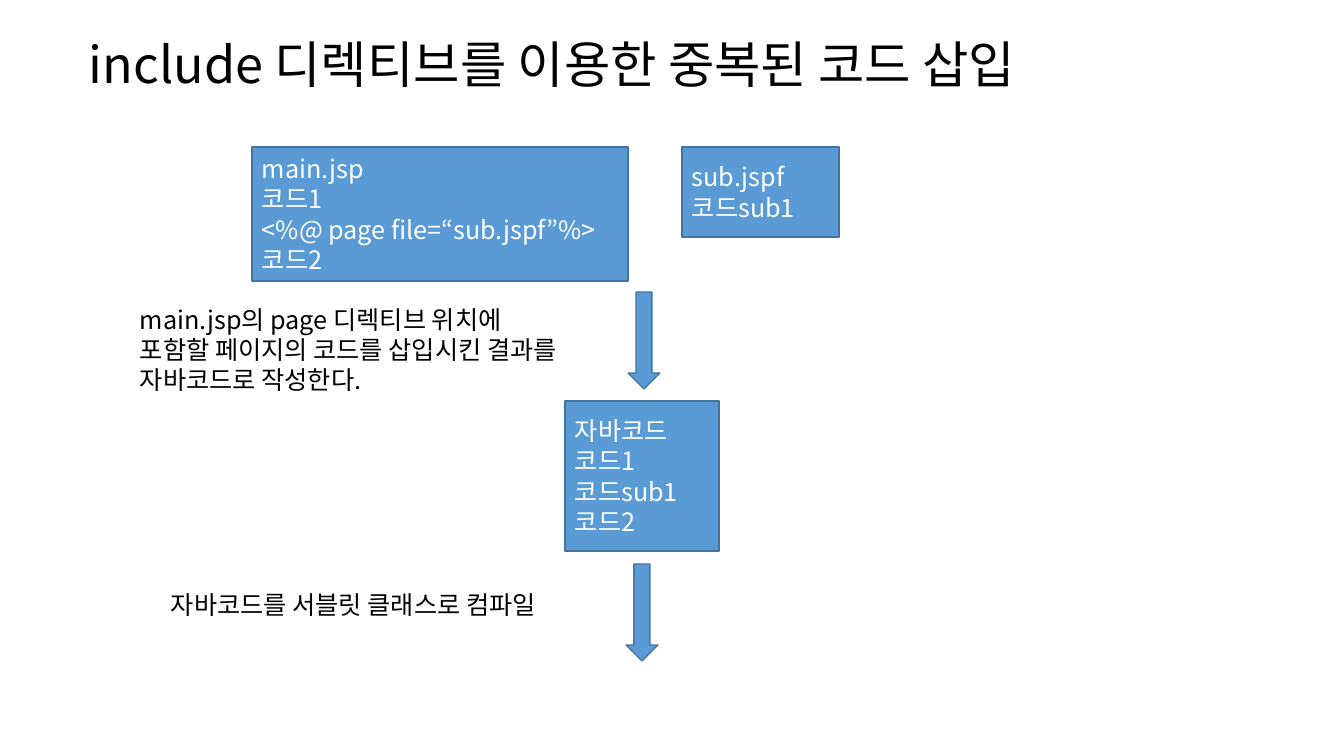
from dataclasses import dataclass

from lxml import etree
from pptx import Presentation
from pptx import util as u
from pptx.dml.color import RGBColor
from pptx.enum import shapes, text
from pptx.oxml import ns

SCALE = 914400 / 100.8
FONT = "Noto Sans CJK KR"
BLUE = RGBColor(0x5B, 0x9B, 0xD5)
EDGE = RGBColor(0x43, 0x73, 0x9E)
WHITE = RGBColor(0xFF, 0xFF, 0xFF)
BLACK = RGBColor(0, 0, 0)
RECT = shapes.MSO_SHAPE.RECTANGLE
ARROW = shapes.MSO_SHAPE.DOWN_ARROW


@dataclass
class Item:
    x: int
    y: int
    w: int
    h: int
    lines: tuple[str, ...] = ()
    size: int = 18


def px(n: int) -> u.Emu:
    return u.Emu(round(n * SCALE))


def area(item: Item) -> list[u.Emu]:
    return [px(n) for n in (item.x, item.y, item.w, item.h)]


def write(frame, lines: tuple[str, ...], *, size: int, color: RGBColor,
          anchor=text.MSO_ANCHOR.TOP, fit=text.MSO_AUTO_SIZE.NONE) -> None:
    frame.word_wrap = True
    frame.auto_size = fit
    frame.vertical_anchor = anchor
    for i, line in enumerate(lines):
        para = frame.add_paragraph() if i else frame.paragraphs[0]
        para.alignment = text.PP_ALIGN.LEFT
        run = para.add_run()
        run.text = line
        run.font.size = u.Pt(size)
        run.font.name = FONT
        run.font.color.rgb = color
        props = run.font._element
        etree.SubElement(props, ns.qn("a:ea"), typeface=FONT)


def block(slide, kind: shapes.MSO_SHAPE, item: Item) -> None:
    shape = slide.shapes.add_shape(kind, *area(item))
    shape.shadow.inherit = False
    shape.fill.solid()
    shape.fill.fore_color.rgb = BLUE
    shape.line.color.rgb = EDGE
    shape.line.width = u.Pt(1)
    if item.lines:
        write(shape.text_frame, item.lines, size=item.size, color=WHITE,
              anchor=text.MSO_ANCHOR.MIDDLE)


def label(slide, item: Item) -> None:
    box = slide.shapes.add_textbox(*area(item))
    write(box.text_frame, item.lines, size=item.size, color=BLACK,
          fit=text.MSO_AUTO_SIZE.SHAPE_TO_FIT_TEXT)


LABELS = [
    Item(79, 28, 1247, 71, ("include 디렉티브를 이용한 중복된 코드 삽입",), 36),
    Item(130, 299, 497, 102, (
        "main.jsp의 page 디렉티브 위치에 ",
        "포함할 페이지의 코드를 삽입시킨 결과를",
        "자바코드로 작성한다. ",
    )),
    Item(161, 584, 497, 40, ("자바코드를 서블릿 클래스로 컴파일",)),
]
CODES = [
    Item(252, 147, 376, 134,
         ("main.jsp", "코드1", "<%@ page file=“sub.jspf”%>", "코드2")),
    Item(682, 147, 157, 90, ("sub.jspf", "코드sub1")),
    Item(565, 401, 154, 150, ("자바코드", "코드1", "코드sub1", "코드2")),
]
ARROWS = [Item(628, 292, 32, 97), Item(626, 564, 32, 97)]

deck = Presentation()
deck.slide_width, deck.slide_height = px(1344), px(756)
slide = deck.slides.add_slide(deck.slide_layouts[6])
for code in CODES:
    block(slide, RECT, code)
for arrow in ARROWS:
    block(slide, ARROW, arrow)
for note in LABELS:
    label(slide, note)
deck.save("out.pptx")
